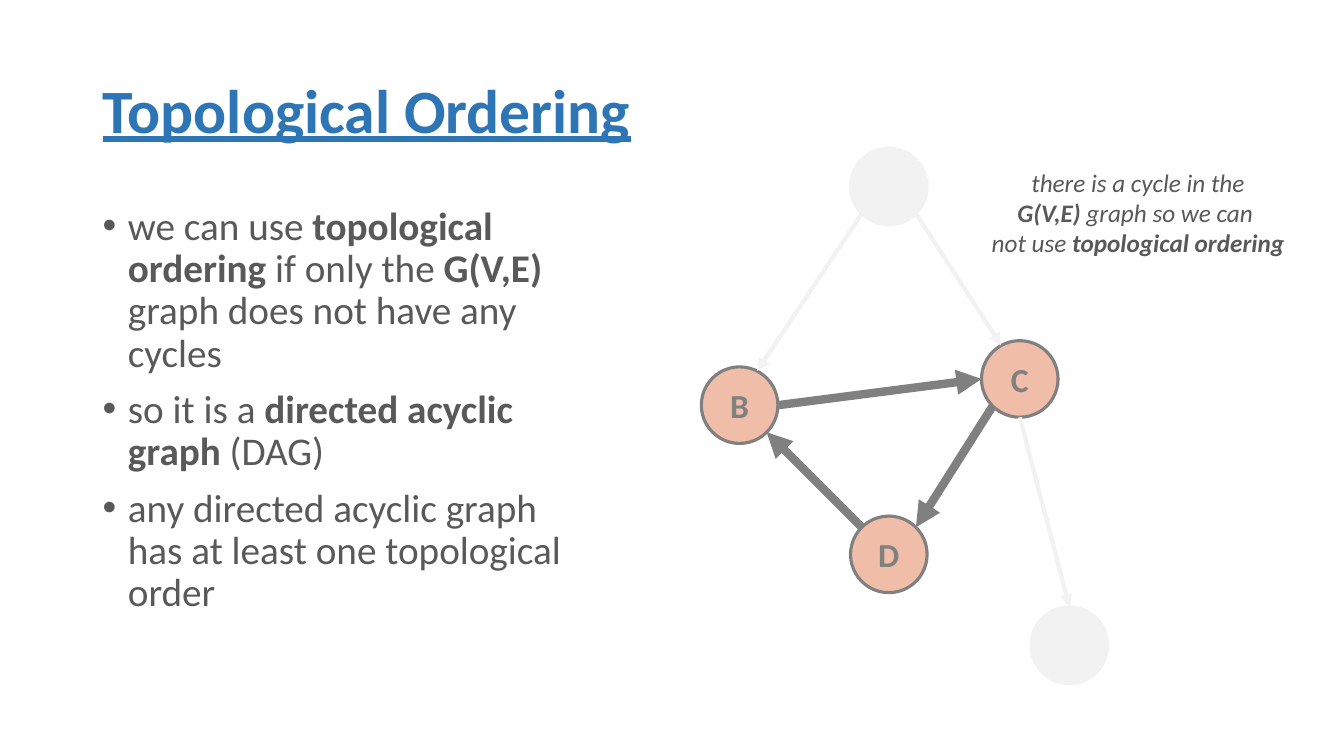
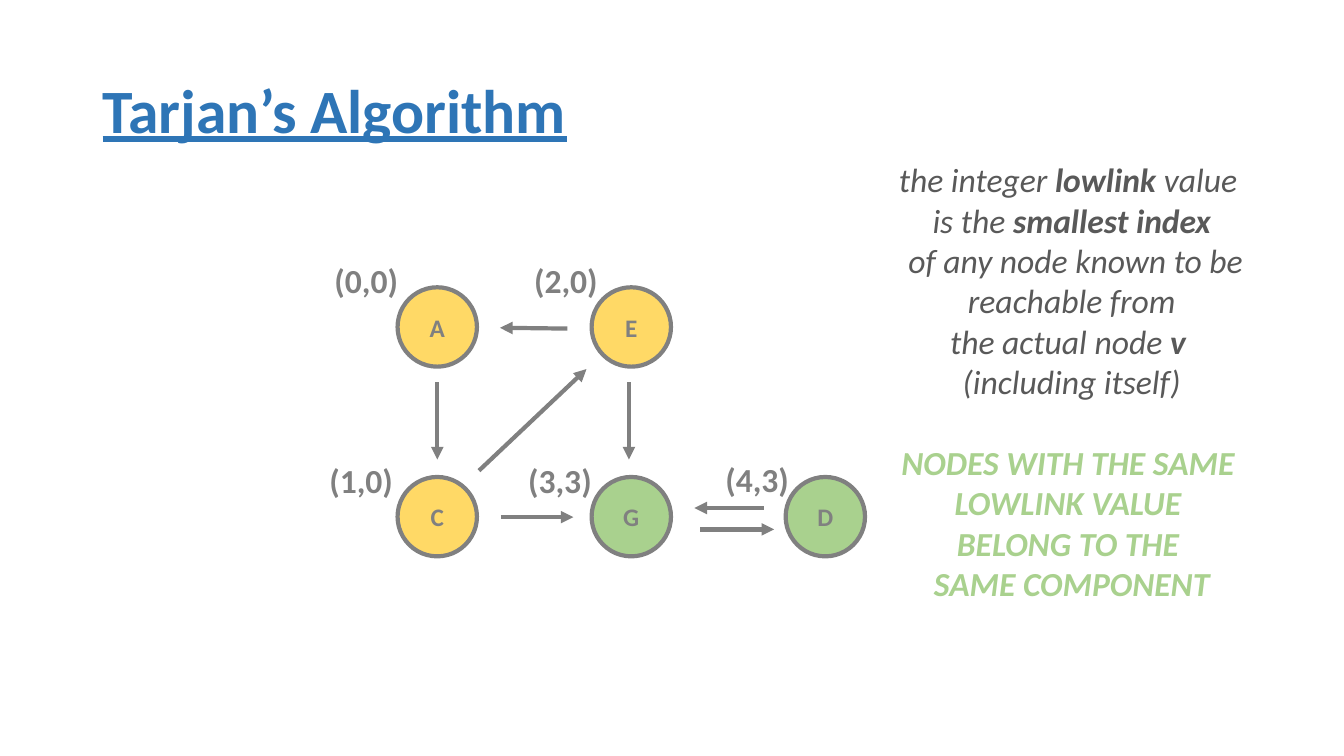
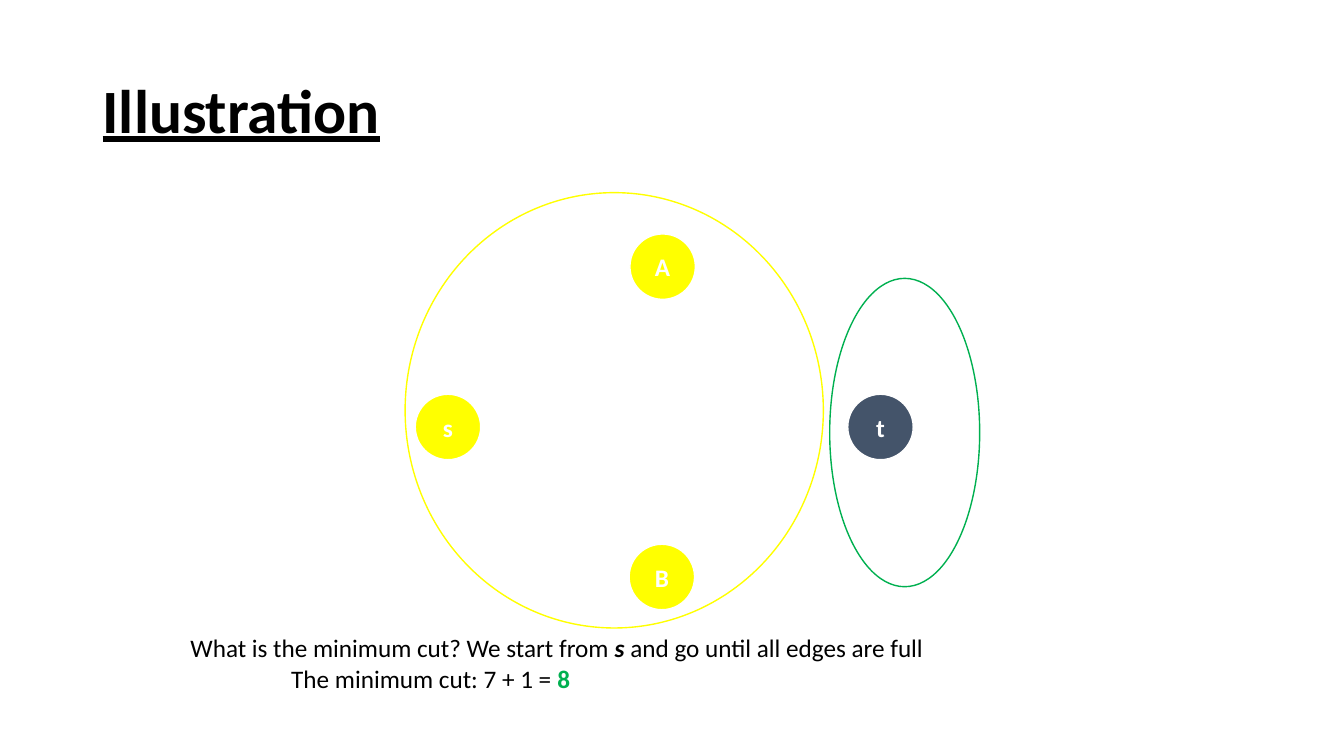
from dataclasses import dataclass
from math import cos, sin, radians

from lxml.etree import SubElement
from pptx import Presentation
from pptx.dml.color import RGBColor
from pptx.enum.shapes import MSO_CONNECTOR as Link, MSO_SHAPE as Form
from pptx.enum.text import MSO_ANCHOR as Anchor, MSO_AUTO_SIZE as Fit, PP_ALIGN as Align
from pptx.oxml.ns import qn
from pptx.util import Cm, Pt


@dataclass(frozen=True)
class Theme:
    font: str = "Calibri"
    blue: str = "2E75B6"
    text: str = "595959"
    gray: str = "808080"
    pale: str = "F2F2F2"
    peach: str = "F0BDA8"
    gold: str = "FFD966"
    leaf: str = "A9D18E"
    yellow: str = "FFFF00"
    green: str = "00B050"
    slate: str = "44546A"
    white: str = "FFFFFF"
    black: str = "000000"
    head: int = 44
    body: int = 28
    large: int = 24
    small: int = 18


T = Theme()
BOLD = {"bold": True}
TITLE_BOX = (2.33, 1.01, 29.21, 3.68)

# Slide 1: topological ordering (lengths in cm)
POINTS = [
    ["we can use ", ("topological ordering ", BOLD), "if only the", (" G(V,E)", BOLD),
     " graph does not have any cycles"],
    ["so it is a ", ("directed acyclic graph ", BOLD), "(DAG)"],
    ["any directed acyclic graph has at least one topological order"],
]
POINTS_BOX = (2.33, 5.07, 12.98, 13.57)
CYCLE_NOTE = [
    ["there is a cycle in the"],
    [("G(V,E)", BOLD), " graph so we can "],
    ["not use ", ("topological ordering", BOLD)],
]
CYCLE_BOX = (24.69, 4.09, 7.98, 2.57)
DAG_SIZE = 1.93
DAG = {  # key: centre, in the cycle
    "A": (22.4, 4.7, False),
    "B": (18.64, 10.21, True),
    "C": (25.7, 9.55, True),
    "D": (22.4, 13.97, True),
    "E": (26.95, 16.26, False),
}
DAG_EDGES = [  # from, angle, to, angle
    ("A", 225, "B", 63), ("A", 315, "C", 119), ("C", 270, "E", 90),
    ("C", 225, "D", 45), ("B", 0, "C", 180), ("D", 135, "B", 315),
]

# Slide 2: components
LOW_SIZE = 2.0
LOW_START, LOW_STEP = (11.02, 8.24), (4.89, 4.78)
LOW_NODES = [  # name, column, row, fill, label, label position
    ("A", 0, 0, T.gold, "(0,0)", (8.18, 6.43)),
    ("E", 1, 0, T.gold, "(2,0)", (13.21, 6.43)),
    ("C", 0, 1, T.gold, "(1,0)", (8.05, 11.46)),
    ("G", 1, 1, T.leaf, "(3,3)", (13.06, 11.46)),
    ("D", 2, 1, T.leaf, "(4,3)", (18.03, 11.43)),
]
LABEL_SIZE = (2.13, 1.27)
LOW_EDGES = [
    ((17.65, 13.34), (19.51, 13.34)),
    ((19.25, 12.8), (17.5, 12.8)),
    ((12.07, 11.86), (14.78, 9.3)),
    ((11.02, 9.63), (11.02, 11.58)),
    ((14.3, 8.28), (12.6, 8.26)),
    ((15.85, 9.63), (15.85, 11.58)),
    ((12.62, 13.03), (14.45, 13.03)),
]
LEAF = {"bold": True, "color": T.leaf}
LOW_NOTE = [
    ["the integer ", ("lowlink", BOLD), " value "],
    ["is the ", ("smallest index", BOLD)],
    [" of any node known to be"],
    [" reachable from "],
    ["the actual node ", ("v ", BOLD)],
    ["(including itself)"],
    [("NODES WITH THE SAME ", LEAF)],
    [("LOWLINK VALUE ", LEAF)],
    [("BELONG TO THE ", LEAF)],
    [("SAME COMPONENT", LEAF)],
]
LOW_BOX = (22.35, 3.89, 9.32, 12.57)
LOW_BREAK = 6  # first line of the green part

# Slide 3: minimum cut
CUT_SIZE = 1.65
CUT_NODES = [
    ("s", 11.29, 10.76, T.yellow),
    ("A", 16.7, 6.72, T.yellow),
    ("t", 22.19, 10.76, T.slate),
    ("B", 16.68, 14.54, T.yellow),
]
CUT_SETS = [  # centre, width, height, line
    (15.48, 10.34, 10.54, 10.97, T.yellow),
    (22.8, 10.9, 3.78, 7.77, T.green),
]
CUT_NOTE = [
    ["What is the minimum cut? We start from ", ("s", {"bold": True, "italic": True}),
     " and go until all edges are full"],
    ["The minimum cut: 7 + 1 = ", ("8", {"bold": True, "color": T.green})],
]
CUT_BOX = (4.55, 15.82, 22.66, 1.8)


def paint(hue):
    return RGBColor.from_string(hue)


def write(frame, lines, size=T.small, color=T.text, bold=False, italic=False,
          under=False, align=Align.LEFT, bullet=False, space=None, gap=0):
    """Fill a text frame; a line is a list of strings or (string, format)."""
    for n, line in enumerate(lines):
        para = frame.paragraphs[0] if n == 0 else frame.add_paragraph()
        if bullet:
            props = para._p.get_or_add_pPr()
            props.set("marL", str(Cm(0.64)))
            props.set("indent", str(-Cm(0.64)))
            SubElement(props, qn("a:buFont")).set("typeface", "Arial")
            SubElement(props, qn("a:buChar")).set("char", "•")
        para.alignment = align
        para.space_before = Pt(gap if n else 0)
        if space:
            para.line_spacing = space
        for part in line:
            words, own = (part, {}) if isinstance(part, str) else part
            run = para.add_run()
            run.text = words
            font = run.font
            font.name, font.size = T.font, Pt(size)
            font.bold = own.get("bold", bold)
            font.italic = own.get("italic", italic)
            font.underline = under
            font.color.rgb = paint(own.get("color", color))


def place(shape, box):
    shape.left, shape.top, shape.width, shape.height = map(Cm, box)


def start(deck, layout, title, color=T.blue):
    slide = deck.slides.add_slide(deck.slide_layouts[layout])
    head = slide.shapes.title
    place(head, TITLE_BOX)
    frame = head.text_frame
    frame.auto_size, frame.vertical_anchor = Fit.NONE, Anchor.MIDDLE
    write(frame, [[title]], size=T.head, color=color, bold=True, under=True, space=0.9)
    return slide


def note(slide, box, lines, wrap=False, **form):
    frame = slide.shapes.add_textbox(*map(Cm, box)).text_frame
    frame.word_wrap, frame.auto_size = wrap, Fit.SHAPE_TO_FIT_TEXT
    write(frame, lines, **form)
    return frame


def oval(slide, x, y, wide, high, fill, line, weight, name="", **form):
    box = (x - wide / 2, y - high / 2, wide, high)
    shape = slide.shapes.add_shape(Form.OVAL, *map(Cm, box))
    shape.shadow.inherit = False
    if fill:
        shape.fill.solid()
        shape.fill.fore_color.rgb = paint(fill)
    else:
        shape.fill.background()
    shape.line.color.rgb = paint(line)
    shape.line.width = Pt(weight)
    if name:
        shape.text_frame.vertical_anchor = Anchor.MIDDLE
        write(shape.text_frame, [[name]], bold=True, align=Align.CENTER, **form)


def arrow(slide, tail, tip, color, weight):
    link = slide.shapes.add_connector(Link.STRAIGHT, *map(Cm, (*tail, *tip)))
    link.line.color.rgb = paint(color)
    link.line.width = Pt(weight)
    SubElement(link.line._get_or_add_ln(), qn("a:tailEnd")).set("type", "triangle")
    SubElement(link._element.spPr, qn("a:effectLst"))


def rim(key, angle):
    """Point on the edge of a graph node, counter-clockwise from the right."""
    x, y, _ = DAG[key]
    turn = radians(angle)
    return x + DAG_SIZE / 2 * cos(turn), y - DAG_SIZE / 2 * sin(turn)


def order(deck):
    slide = start(deck, 1, "Topological Ordering")
    body = slide.placeholders[1]
    place(body, POINTS_BOX)
    body.text_frame.auto_size = Fit.NONE
    write(body.text_frame, POINTS, size=T.body, bullet=True, space=0.9, gap=10)
    for key, (x, y, cycle) in DAG.items():
        fill, line = (T.peach, T.gray) if cycle else (T.pale, T.pale)
        oval(slide, x, y, DAG_SIZE, DAG_SIZE, fill, line, 2.25,
             key if cycle else "", size=T.large, color=T.gray)
    for a, out, b, into in DAG_EDGES:
        cycle = DAG[a][2] and DAG[b][2]
        arrow(slide, rim(a, out), rim(b, into),
              T.gray if cycle else T.pale, 6 if cycle else 3)
    note(slide, CYCLE_BOX, CYCLE_NOTE, italic=True, align=Align.CENTER)


def parts(deck):
    slide = start(deck, 5, "Tarjan’s Algorithm")
    for name, col, row, fill, label, spot in LOW_NODES:
        x, y = (s + d * n for s, d, n in zip(LOW_START, LOW_STEP, (col, row)))
        oval(slide, x, y, LOW_SIZE, LOW_SIZE, fill, T.gray, 3, name, color=T.gray)
        note(slide, spot + LABEL_SIZE, [[label]], size=T.large, color=T.gray, bold=True)
    for tail, tip in LOW_EDGES:
        arrow(slide, tail, tip, T.gray, 3)
    frame = note(slide, LOW_BOX, LOW_NOTE, size=T.large, italic=True, align=Align.CENTER)
    frame.paragraphs[LOW_BREAK].space_before = Pt(29)


def cut(deck):
    slide = start(deck, 5, "Illustration", T.black)
    for name, x, y, fill in CUT_NODES:
        oval(slide, x, y, CUT_SIZE, CUT_SIZE, fill, T.white, 1, name, color=T.white)
    frame = note(slide, CUT_BOX, CUT_NOTE, wrap=True, color=T.black)
    frame.paragraphs[1]._p.get_or_add_pPr().set("marL", str(Cm(2.54)))
    for x, y, wide, high, line in CUT_SETS:
        oval(slide, x, y, wide, high, None, line, 1)


def main():
    deck = Presentation()
    deck.slide_width, deck.slide_height = Cm(33.87), Cm(19.05)
    for build in (order, parts, cut):
        build(deck)
    deck.save("out.pptx")


if __name__ == "__main__":
    main()
